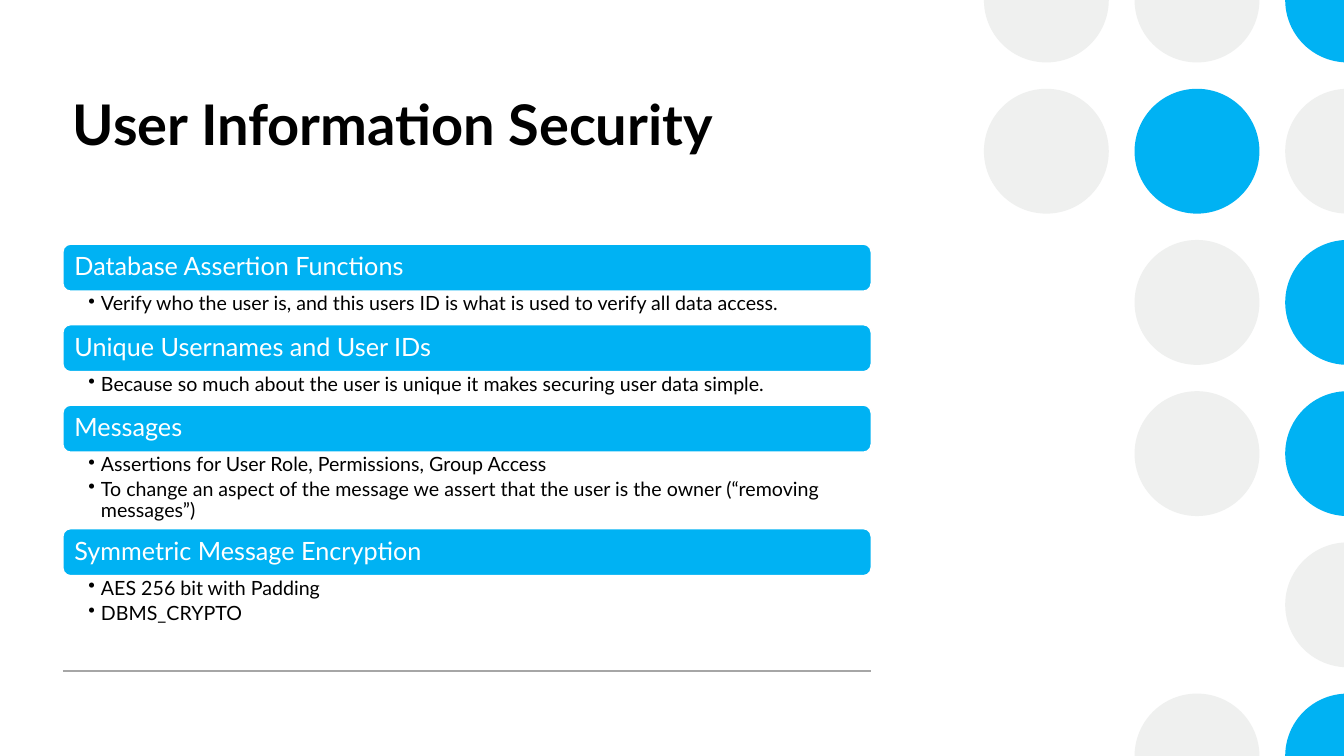
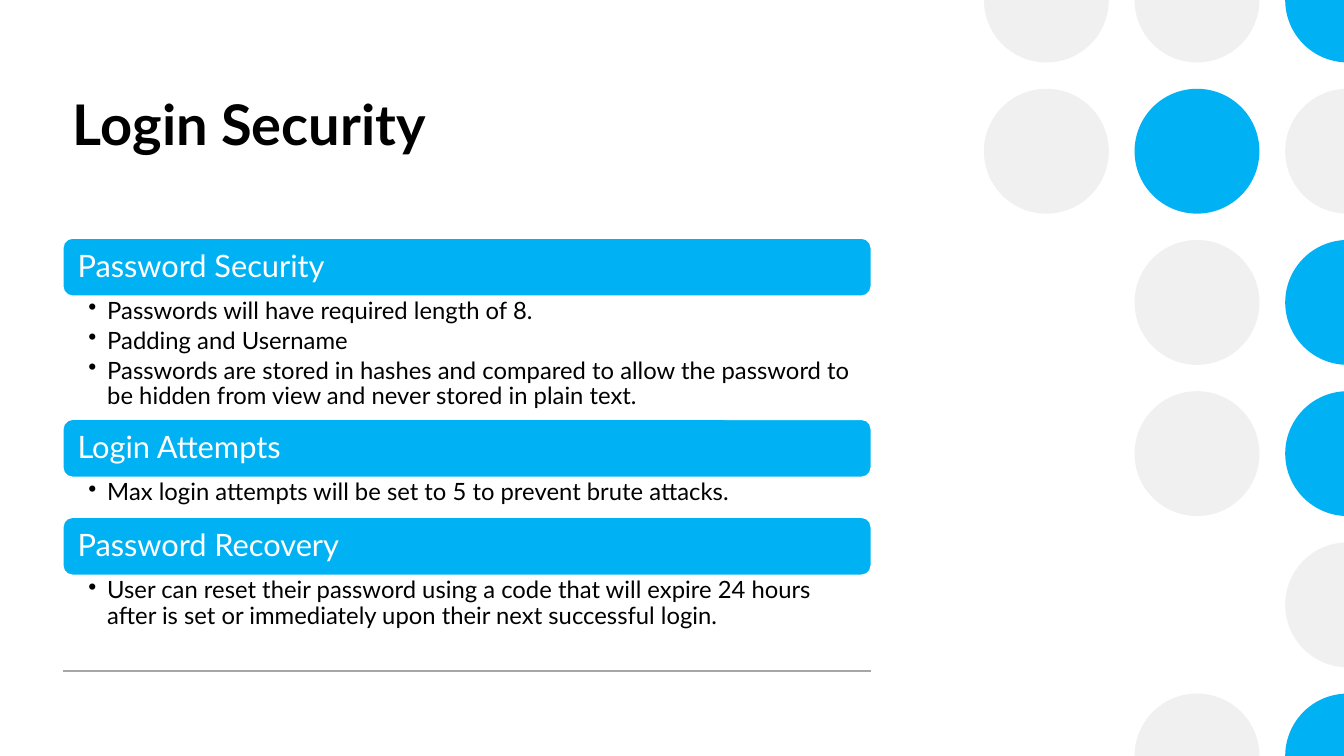
"""Build two security slides with a shared title, dot pattern and footer line."""
from lxml.etree import SubElement
from pptx import Presentation
from pptx.dml.color import RGBColor
from pptx.enum.shapes import MSO_CONNECTOR, MSO_SHAPE, PP_PLACEHOLDER
from pptx.enum.text import MSO_ANCHOR, MSO_AUTO_SIZE, PP_ALIGN
from pptx.oxml.ns import qn
from pptx.util import Pt

BLUE = RGBColor(0x00, 0xB2, 0xF3)
PALE = RGBColor(0xEF, 0xF0, 0xEF)
GRAY = RGBColor(0xA6, 0xA6, 0xA6)
WHITE = RGBColor(0xFF, 0xFF, 0xFF)
BLACK = RGBColor(0x00, 0x00, 0x00)
FONT = "Lato"

SLIDE_W, SLIDE_H = 960, 540
LEFT, WIDTH = 44.9, 577.4
RULE_Y = 479.3

DOT_ROWS = ["ppb", "pbp", "-pb", "-pb", "--p", "-pb"]
DOT_COLORS = {"p": PALE, "b": BLUE}
DOT_LEFT, DOT_TOP = 702.8, -44.6
DOT_STEP_X, DOT_STEP_Y, DOT_SIZE = 107.6, 108, 89.2

SLIDES = [
    {
        "title": "User Information Security",
        "top": 174.4, "bar": 33.6, "bar_size": 18, "bar_inset": 6.7,
        "size": 14, "indent": 9, "right": 10, "gap": 2.5,
        "sections": [
            ("Database Assertion Functions", 23.9,
             ["Verify who the user is, and this users ID is what is used to verify all data access."]),
            ("Unique Usernames and User IDs", 23.9,
             ["Because so much about the user is unique it makes securing user data simple."]),
            ("Messages", 54.6,
             ["Assertions for User Role, Permissions, Group Access",
              "To change an aspect of the message we assert that the user is the owner "
              "(“removing messages”)"]),
            ("Symmetric Message Encryption", 38.2,
             ["AES 256 bit with Padding", "DBMS_CRYPTO"]),
        ],
    },
    {
        "title": "Login Security",
        "top": 170.1, "bar": 41.4, "bar_size": 22, "bar_inset": 8.5,
        "size": 17, "indent": 13.5, "right": 12, "gap": 3,
        "sections": [
            ("Password Security", 88,
             ["Passwords will have required length of 8.",
              "Padding and Username",
              "Passwords are stored in hashes and compared to allow the password to be hidden "
              "from view and never stored in plain text."]),
            ("Login Attempts", 28.6,
             ["Max login attempts will be set to 5 to prevent brute attacks."]),
            ("Password Recovery", 42.5,
             ["User can reset their password using a code that will expire 24 hours after is set "
              "or immediately upon their next successful login."]),
        ],
    },
]


def style_runs(paragraph, size, color, bold=False):
    for run in paragraph.runs:
        run.font.name = FONT
        run.font.size = Pt(size)
        run.font.bold = bold
        run.font.color.rgb = color


def set_insets(frame, left, top, right, bottom):
    frame.margin_left, frame.margin_top = Pt(left), Pt(top)
    frame.margin_right, frame.margin_bottom = Pt(right), Pt(bottom)


def add_filled(shapes, preset, left, top, width, height, color):
    filled = shapes.add_shape(preset, Pt(left), Pt(top), Pt(width), Pt(height))
    filled.shadow.inherit = False
    filled.fill.solid()
    filled.fill.fore_color.rgb = color
    filled.line.fill.background()
    return filled


def add_dot(shapes, row, col, color):
    return add_filled(shapes, MSO_SHAPE.OVAL, DOT_LEFT + col * DOT_STEP_X,
                      DOT_TOP + row * DOT_STEP_Y, DOT_SIZE, DOT_SIZE, color)


def add_rule(shapes):
    rule = shapes.add_connector(MSO_CONNECTOR.STRAIGHT, Pt(LEFT), Pt(RULE_Y),
                                Pt(LEFT + WIDTH), Pt(RULE_Y))
    rule.line.color.rgb = GRAY
    rule.line.width = Pt(1)
    SubElement(rule.element.spPr, qn("a:effectLst"))
    return rule


def prepare_layout(layout, slide):
    for holder in list(layout.placeholders):
        if holder.placeholder_format.type == PP_PLACEHOLDER.TITLE:
            holder.left, holder.top = Pt(LEFT), Pt(60.5)
            holder.width, holder.height = Pt(WIDTH), Pt(100)
        else:
            holder.element.getparent().remove(holder.element)
    decoration = [add_dot(slide.shapes, row, col, DOT_COLORS[key])
                  for row, keys in enumerate(DOT_ROWS)
                  for col, key in enumerate(keys) if key in DOT_COLORS]
    decoration.append(add_rule(slide.shapes))
    for part in decoration:
        layout.shapes.element.append(part.element)


def add_title(slide, text):
    frame = slide.shapes.title.text_frame
    frame.text = text
    frame.auto_size = MSO_AUTO_SIZE.NONE
    frame.vertical_anchor = MSO_ANCHOR.TOP
    frame.paragraphs[0].alignment = PP_ALIGN.LEFT
    style_runs(frame.paragraphs[0], 40, BLACK, bold=True)


def add_heading(slide, text, top, look):
    bar = add_filled(slide.shapes, MSO_SHAPE.ROUNDED_RECTANGLE, LEFT, top,
                     WIDTH, look["bar"], BLUE)
    bar.line.color.rgb = WHITE
    bar.line.width = Pt(1)
    frame = bar.text_frame
    frame.text = text
    frame.vertical_anchor = MSO_ANCHOR.MIDDLE
    set_insets(frame, look["bar_inset"], 0, look["bar_inset"], 0)
    heading = frame.paragraphs[0]
    heading.alignment = PP_ALIGN.LEFT
    heading.line_spacing = 0.9
    style_runs(heading, look["bar_size"], WHITE)


def add_points(slide, points, top, height, look):
    frame = slide.shapes.add_textbox(Pt(LEFT), Pt(top), Pt(WIDTH), Pt(height)).text_frame
    frame.text = "\n".join(points)
    frame.word_wrap = True
    set_insets(frame, 18.2, 2, look["right"], 2)
    for point in frame.paragraphs:
        point.line_spacing = 0.9
        point.space_after = Pt(look["gap"])
        style_runs(point, look["size"], BLACK)
        props = point._p.get_or_add_pPr()
        props.set("marL", str(Pt(look["indent"])))
        props.set("indent", str(-Pt(look["indent"])))
        SubElement(props, qn("a:buChar")).set("char", "•")


def main():
    deck = Presentation()
    deck.slide_width, deck.slide_height = Pt(SLIDE_W), Pt(SLIDE_H)
    layout = deck.slide_layouts[5]
    slides = [deck.slides.add_slide(layout) for _ in SLIDES]
    prepare_layout(layout, slides[0])
    for slide, content in zip(slides, SLIDES):
        add_title(slide, content["title"])
        top = content["top"]
        for heading, height, points in content["sections"]:
            add_heading(slide, heading, top, content)
            top += content["bar"]
            add_points(slide, points, top, height, content)
            top += height
    deck.save("out.pptx")


if __name__ == "__main__":
    main()
